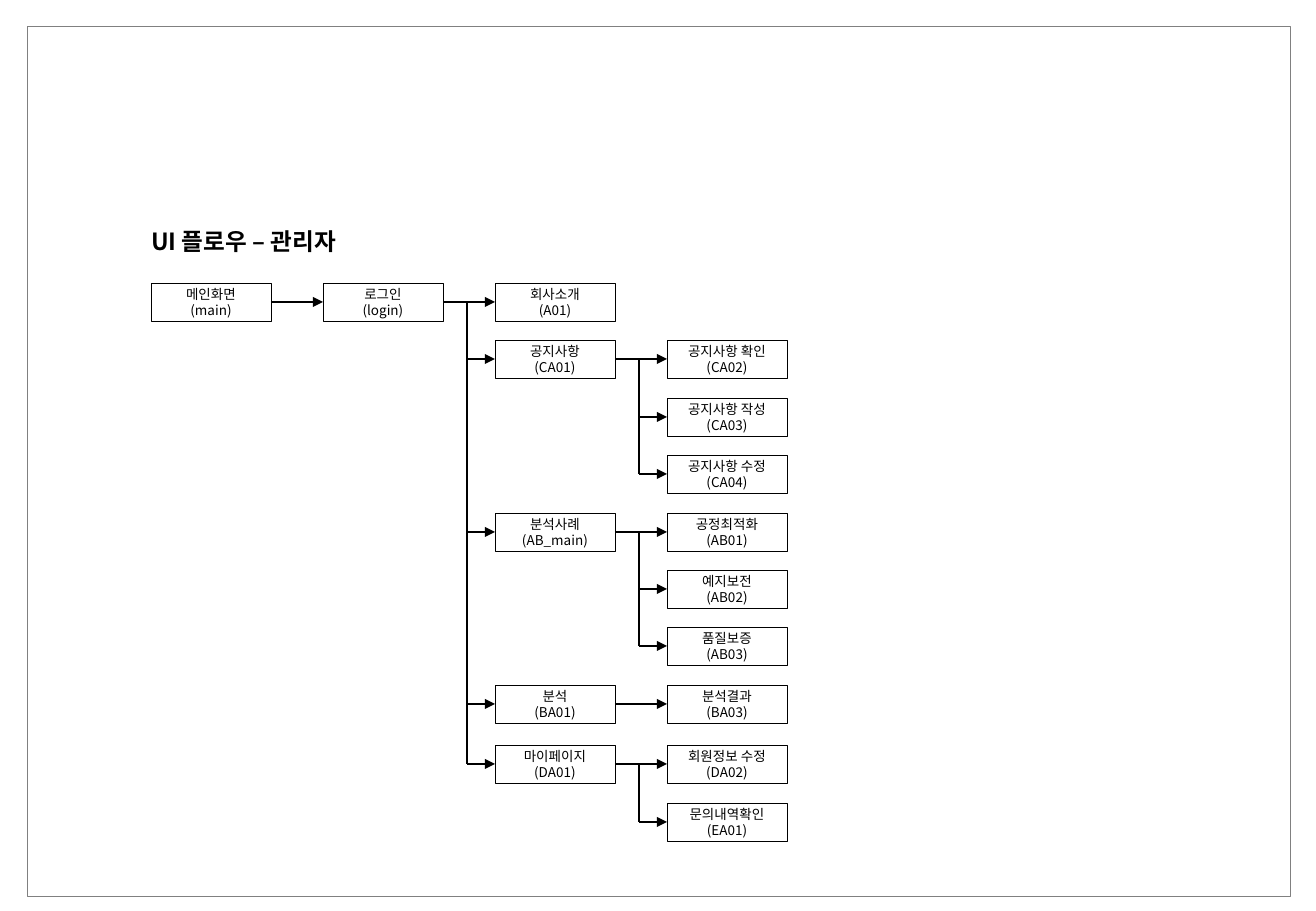
from lxml import etree
from pptx import Presentation
from pptx import util as u
from pptx.dml.color import RGBColor
from pptx.enum import shapes, text
from pptx.oxml.ns import qn

PX = 7526
FONT = "Noto Sans CJK KR"
BOX_W, BOX_H = 120, 38
COL_PITCH, ROW_PITCH = 172, 57.4
TRUNK_GAP = 28
MY_PAGE_ROW, MY_PAGE_SHIFT = 8, 3

FLOW = ("메인화면", "main", [("로그인", "login", [
    ("회사소개", "A01", []),
    ("공지사항", "CA01", [
        ("공지사항 확인", "CA02", []),
        ("공지사항 작성", "CA03", []),
        ("공지사항 수정", "CA04", []),
    ]),
    ("분석사례", "AB_main", [
        ("공정최적화", "AB01", []),
        ("예지보전", "AB02", []),
        ("품질보증", "AB03", []),
    ]),
    ("분석", "BA01", [("분석결과", "BA03", [])]),
    ("마이페이지", "DA01", [
        ("회원정보 수정", "DA02", []),
        ("문의내역확인", "EA01", []),
    ]),
])])


def px(n):
    """Turn pixels into EMU."""
    return u.Emu(round(n * PX))


def paint(fmt, colour):
    """Give a fill or font a solid colour from a hex string."""
    if hasattr(fmt, "solid"):
        fmt.solid()
        fmt.fore_color.rgb = RGBColor.from_string(colour)
    else:
        fmt.color.rgb = RGBColor.from_string(colour)


def style(p, size, align, bold=False):
    """Set alignment and font of a paragraph, Korean letters included."""
    p.alignment = align
    p.font.size = u.Pt(size)
    p.font.bold = bold
    p.font.name = FONT
    paint(p.font, "000000")
    props = p._p.find(".//" + qn("a:defRPr"))
    etree.SubElement(props, qn("a:ea")).set("typeface", FONT)


def add_rect(slide, x, y, w, h, line):
    """Add a thinly outlined rectangle."""
    sp = slide.shapes.add_shape(shapes.MSO_SHAPE.RECTANGLE, px(x), px(y), px(w), px(h))
    sp.shadow.inherit = False
    paint(sp.line.fill, line)
    sp.line.width = u.Pt(0.25)
    return sp


def add_frame(slide, x, y, w, h):
    """Draw the page border."""
    add_rect(slide, x, y, w, h, "808080").fill.background()


def add_title(slide, x, y, w, h):
    """Place and format the slide title."""
    sp = slide.shapes.title
    sp.left, sp.top, sp.width, sp.height = px(x), px(y), px(w), px(h)
    tf = sp.text_frame
    tf.text = "UI 플로우 – 관리자"
    tf.margin_left = 0
    tf.vertical_anchor = text.MSO_ANCHOR.TOP
    tf.auto_size = text.MSO_AUTO_SIZE.SHAPE_TO_FIT_TEXT
    style(tf.paragraphs[0], 14, text.PP_ALIGN.LEFT, True)


def add_line(slide, x1, y1, x2, y2, arrow=True):
    """Add a black straight line, with an arrowhead if asked."""
    cxn = slide.shapes.add_connector(
        shapes.MSO_CONNECTOR.STRAIGHT, px(x1), px(y1), px(x2), px(y2))
    paint(cxn.line.fill, "000000")
    cxn.line.width = u.Pt(0.75)
    if arrow:
        etree.SubElement(cxn.line._get_or_add_ln(), qn("a:tailEnd")).set("type", "triangle")
    etree.SubElement(cxn._element.spPr, qn("a:effectLst"))
    return cxn


def add_screen(slide, x, y, name, code):
    """Draw one screen box with its name and code."""
    sp = add_rect(slide, x, y, BOX_W, BOX_H, "000000")
    paint(sp.fill, "FFFFFF")
    tf = sp.text_frame
    tf.vertical_anchor = text.MSO_ANCHOR.MIDDLE
    tf.text = f"{name}\n({code})"
    for p in tf.paragraphs:
        style(p, 8, text.PP_ALIGN.CENTER)
    return sp


def add_flow(slide, x, top, node, row=0):
    """Draw a screen and its followers; return its box, middle and next free row."""
    name, code, children = node
    y = round(top + row * ROW_PITCH) + (MY_PAGE_SHIFT if row >= MY_PAGE_ROW else 0)
    mid = y + BOX_H // 2
    sp = add_screen(slide, x, y, name, code)
    child_x = x + COL_PITCH
    trunk_x = child_x - TRUNK_GAP
    next_row = row
    child_mid = mid
    for i, child in enumerate(children):
        child_sp, child_mid, next_row = add_flow(slide, child_x, top, child, next_row)
        start = trunk_x if i else x + BOX_W
        cxn = add_line(slide, start, child_mid, child_x, child_mid)
        if i == 0:
            cxn.begin_connect(sp, 3)
        cxn.end_connect(child_sp, 1)
    if len(children) > 1:
        add_line(slide, trunk_x, mid, trunk_x, child_mid, arrow=False)
    return sp, mid, max(next_row, row + 1)


def main():
    """Build the administrator flow slide."""
    prs = Presentation()
    prs.slide_width, prs.slide_height = px(1316), px(911)
    slide = prs.slides.add_slide(prs.slide_layouts[5])
    add_frame(slide, 27, 26, 1263, 870)
    add_title(slide, 151, 221, 259, 41)
    add_flow(slide, 151, 283, FLOW)
    prs.save("out.pptx")


if __name__ == "__main__":
    main()
